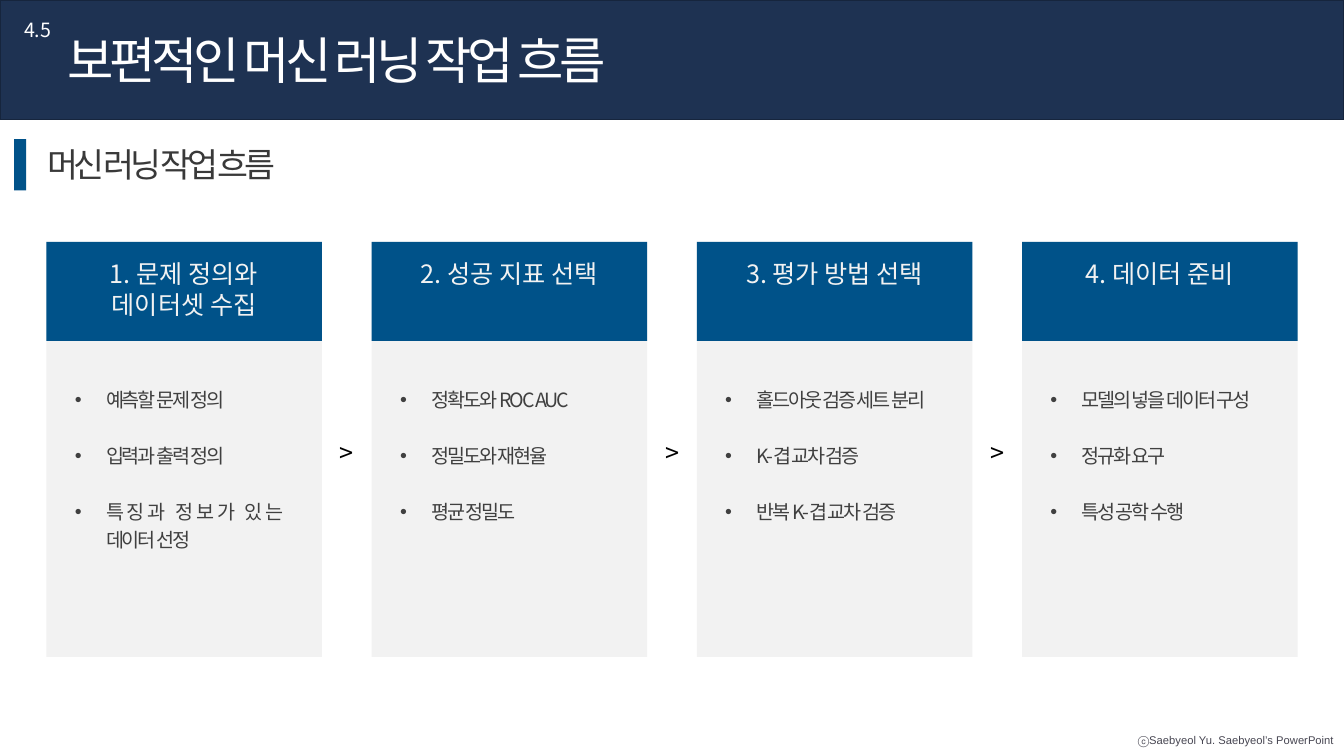
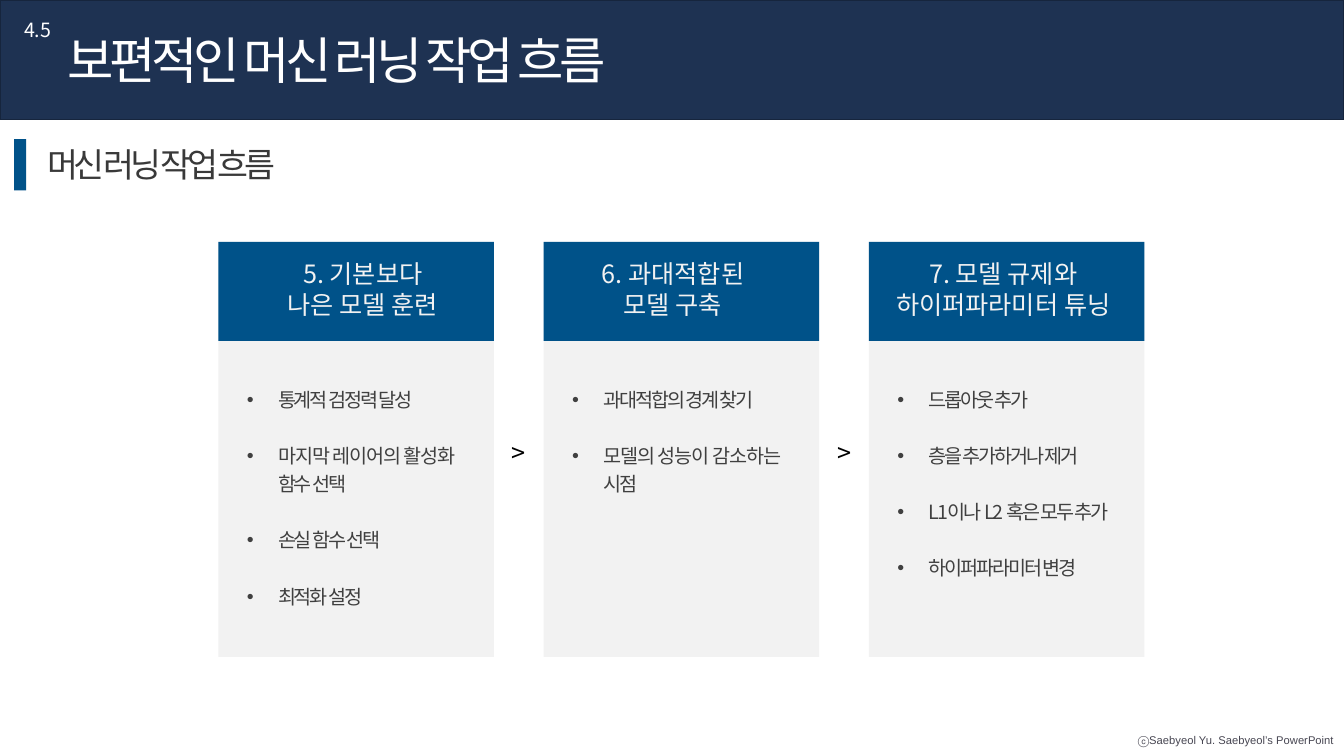
from dataclasses import dataclass

from lxml import etree
from pptx import Presentation
from pptx import util as u
from pptx.dml.color import RGBColor
from pptx.enum import shapes, text
from pptx.oxml.ns import qn


@dataclass(frozen=True)
class Theme:
    # Colours
    navy: str = "1E3252"
    edge: str = "16253D"
    blue: str = "005289"
    pale: str = "F2F2F2"
    white: str = "FFFFFF"
    black: str = "000000"
    ink: str = "393939"
    body: str = "404040"
    grey: str = "474652"
    # Fonts and type sizes
    main: str = "Noto Sans CJK KR"
    small: str = "Arial"
    title: int = 36
    sub: int = 24
    head: int = 18
    item: int = 14
    foot: int = 8


@dataclass(frozen=True)
class Card:
    title: str
    items: tuple
    wide: float = 13.5   # width of the list
    side: float = 2.8    # inset of the title
    shift: float = 0     # sideways move of the title


# Grid of 80 columns by 45 rows
COLS, ROWS = 80, 45
WIDTH, HEIGHT = u.Inches(13.333), u.Inches(7.5)
CARD_W, CARD_H, HEAD_H = 16.4, 24.7, 5.9
TOP, STEP = 14.4, 19.36
LEFT, MID, RIGHT, FULL = (text.PP_ALIGN.LEFT, text.PP_ALIGN.CENTER,
                          text.PP_ALIGN.RIGHT, text.PP_ALIGN.JUSTIFY)


def col(n):
    return round(WIDTH * n / COLS)


def row(n):
    return round(HEIGHT * n / ROWS)


class Deck:
    def __init__(self, theme):
        self.t = theme
        self.prs = Presentation()
        self.prs.slide_width, self.prs.slide_height = WIDTH, HEIGHT
        self.slide = None

    def style(self, frame, size, color, align=LEFT, gap=0, font=None):
        """Format every run; gap is the letter spacing in points."""
        font = font or self.t.main
        for para in frame.paragraphs:
            para.alignment = align
            for run in para.runs:
                run.font.size = u.Pt(size)
                run.font.color.rgb = RGBColor.from_string(color)
                run.font.name = font
                props = run._r.get_or_add_rPr()
                if gap:
                    props.set("spc", str(round(gap * 100)))
                etree.SubElement(props, qn("a:ea"), typeface=font)

    def rect(self, x, y, w, h, fill, edge=None):
        box = self.slide.shapes.add_shape(
            shapes.MSO_SHAPE.RECTANGLE, col(x), row(y), col(w), row(h))
        box.shadow.inherit = False
        box.fill.solid()
        box.fill.fore_color.rgb = RGBColor.from_string(fill)
        if edge:
            box.line.color.rgb = RGBColor.from_string(edge)
            box.line.width = u.Pt(1)
        else:
            box.line.fill.background()
        return box

    def label(self, x, y, w, h, words, size, color, wrap=False, **look):
        box = self.slide.shapes.add_textbox(col(x), row(y), col(w), row(h))
        frame = box.text_frame
        frame.word_wrap = wrap
        frame.text = words
        self.style(frame, size, color, **look)
        return frame

    def bullets(self, x, y, w, h, items):
        t = self.t
        frame = self.label(x, y, w, h, "\n".join(items), t.item, t.body,
                           wrap=True, align=FULL, gap=-1.5)
        dent = u.Inches(0.31)
        for i, para in enumerate(frame.paragraphs):
            para.line_spacing = 1.2
            if i:
                para.space_before = u.Pt(20)
            props = para._p.get_or_add_pPr()
            props.set("marL", str(dent))
            props.set("indent", str(-dent))
            etree.SubElement(props, qn("a:buFont"), typeface=t.small)
            etree.SubElement(props, qn("a:buChar"), char="•")

    def card(self, x, card):
        t = self.t
        self.rect(x, TOP, CARD_W, CARD_H, t.pale)
        head = self.rect(x, TOP, CARD_W, HEAD_H, t.blue)
        frame = head.text_frame
        frame.word_wrap = True
        frame.vertical_anchor = text.MSO_ANCHOR.TOP
        frame.margin_top = row(1)
        frame.margin_left = col(card.side + card.shift)
        frame.margin_right = col(card.side - card.shift)
        frame.text = card.title
        self.style(frame, t.head, t.pale, MID)
        self.bullets(x + 1.1, 22.5, card.wide, 14, card.items)

    def flow(self, start, cards):
        """Cards at equal steps, with a mark in the middle of each gap."""
        t = self.t
        space = STEP - CARD_W
        for i, card in enumerate(cards):
            x = start + i * STEP
            self.card(x, card)
            if i:
                self.label(x - space, 25.74, space, 2.4, ">",
                           t.head, t.black, align=MID)

    def page(self, number, title, sub):
        t = self.t
        self.slide = self.prs.slides.add_slide(self.prs.slide_layouts[6])
        # Footer
        self.label(66.98, 43.38, 13.02, 1.44,
                   "ⓒSaebyeol Yu. Saebyeol’s PowerPoint",
                   t.foot, t.grey, align=RIGHT, font=t.small)
        # Title band
        self.rect(0, 0, COLS, 7.1, t.navy, t.edge)
        self.label(3.42, 1.44, 37.8, 4.26, title, t.title, t.white, gap=-3)
        self.label(0.84, 0.78, 3.18, 2.04, number, t.item, t.white)
        # Section heading
        self.label(2.22, 8.28, 16.74, 3, sub, t.sub, t.ink, gap=-3)
        self.rect(0.84, 8.28, 0.72, 3.06, t.blue)


# Steps of the workflow: first column of each slide and its cards
FLOWS = (
    (2.76, (
        Card("1. 문제 정의와\n데이터셋 수집",
             ("예측할 문제 정의", "입력과 출력 정의",
              "특징과 정보가 있는 데이터 선정")),
        Card("2. 성공 지표 선택",
             ("정확도와 ROC AUC", "정밀도와 재현율", "평균 정밀도")),
        Card("3. 평가 방법 선택",
             ("홀드아웃 검증 세트 분리", "K-겹 교차 검증",
              "반복 K-겹 교차 검증"), wide=14.5),
        Card("4. 데이터 준비",
             ("모델의 넣을 데이터 구성", "정규화 요구", "특성 공학 수행"),
             wide=14.5),
    )),
    (13, (
        Card("5. 기본보다\n나은 모델 훈련",
             ("통계적 검정력 달성", "마지막 레이어의 활성화 함수 선택",
              "손실 함수 선택", "최적화 설정"), shift=0.4),
        Card("6. 과대적합된 모델 구축",
             ("과대적합의 경계 찾기", "모델의 성능이 감소하는 시점"),
             shift=-0.5),
        Card("7. 모델 규제와\n하이퍼파라미터 튜닝",
             ("드롭아웃 추가", "층을 추가하거나 제거",
              "L1이나 L2 혹은 모두 추가", "하이퍼파라미터 변경"),
             wide=14.5, side=1.2, shift=-0.2),
    )),
)


def main():
    deck = Deck(Theme())
    for start, cards in FLOWS:
        deck.page("4.5", "보편적인 머신 러닝 작업 흐름", "머신 러닝 작업 흐름")
        deck.flow(start, cards)
    deck.prs.save("out.pptx")


if __name__ == "__main__":
    main()
